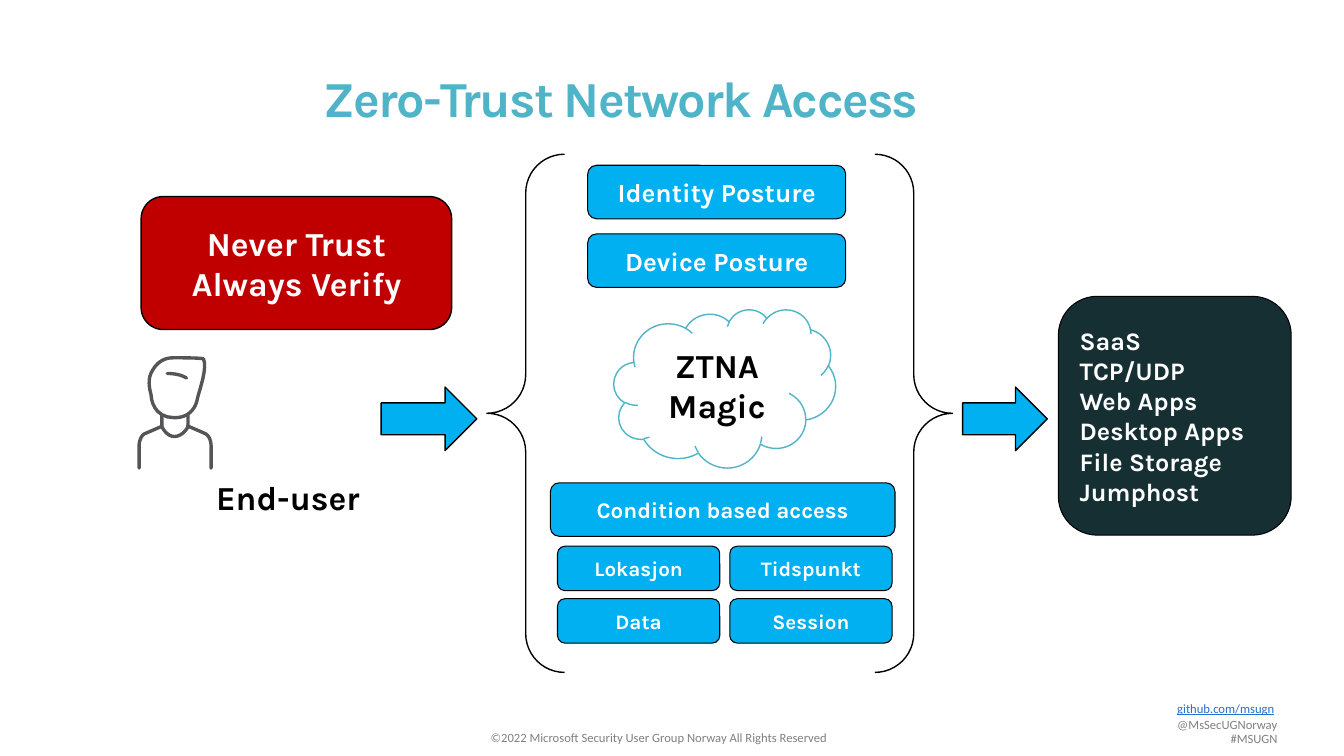
"""Build the Zero-Trust Network Access slide."""
import pptx
import pptx.dml.color
import pptx.enum.shapes
import pptx.enum.text
import pptx.util

Pt = pptx.util.Pt
MSO = pptx.enum.shapes.MSO_SHAPE
ALIGN = pptx.enum.text.PP_ALIGN
ANCHOR = pptx.enum.text.MSO_ANCHOR
RGB = pptx.dml.color.RGBColor.from_string


class Theme:
    font, footer_font = "Karla", "Calibri"
    teal, blue, red, dark = "50B4C8", "00B0F0", "C00000", "162F33"
    black, white, person, grey, link = "000000", "FFFFFF", "555557", "808080", "2370CD"
    title, heading, posture, body, access, cell, footer = 36, 24, 18.7, 18, 16, 14.7, 9


def write(tf, text, size, color, align=ALIGN.CENTER, font=Theme.font, bold=True):
    tf.text = text
    for p in tf.paragraphs:
        p.alignment = align
        p.font.name = font
        p.font.size = Pt(size)
        p.font.bold = bold
        p.font.color.rgb = RGB(color)


def add_box(kind, at, fill, text="", size=Theme.body, color=Theme.white,
            line=Theme.black, weight=0.75, align=ALIGN.CENTER):
    sp = s.shapes.add_shape(kind, *map(Pt, at))
    sp.shadow.inherit = False
    if fill:
        sp.fill.solid()
        sp.fill.fore_color.rgb = RGB(fill)
    else:
        sp.fill.background()
    sp.line.color.rgb = RGB(line)
    sp.line.width = Pt(weight)
    if text:
        sp.text_frame.word_wrap = True
        sp.text_frame.vertical_anchor = ANCHOR.MIDDLE
        write(sp.text_frame, text, size, color, align)


prs = pptx.Presentation()
prs.slide_width, prs.slide_height = Pt(960), Pt(540)
s = prs.slides.add_slide(prs.slide_layouts[5])

title = s.shapes.title
title.left, title.top, title.width, title.height = map(Pt, (231.1, 54.7, 846.7, 43.2))
tf = title.text_frame
tf.margin_left = tf.margin_right = tf.margin_top = tf.margin_bottom = 0
tf.vertical_anchor = ANCHOR.TOP
tf.auto_size = pptx.enum.text.MSO_AUTO_SIZE.NONE
write(tf, "Zero-Trust Network Access", Theme.title, Theme.teal, ALIGN.LEFT)
p = tf.paragraphs[0]
p.line_spacing = 0.85
p.runs[0]._r.get_or_add_rPr().set("spc", "-120")

footers = [
    ("©2022 Microsoft Security User Group Norway All Rights Reserved",
     343.4, 517.7, 258.5, Theme.grey),
    ("#MSUGN", 871.9, 518.4, 48.2, Theme.grey),
    ("@MsSecUGNorway", 833.8, 508.3, 86.4, Theme.grey),
    ("github.com/msugn", 833.8, 496.8, 83.5, Theme.link),
]
for text, x, y, w, color in footers:
    tf = s.shapes.add_textbox(Pt(x), Pt(y), Pt(w), Pt(18)).text_frame
    tf.word_wrap = False
    write(tf, text, Theme.footer, color, ALIGN.LEFT, Theme.footer_font, False)
    tf.paragraphs[0].font.underline = color == Theme.link

# Each stroke is a start point followed by cubic segments of three points.
head = [(124.6, 298.4), (109.4, 298.4), (108, 284.4), (108, 282.2),
        (108, 281.5), (104.8, 272.9), (108, 266.4),
        (111.6, 259.2), (116.6, 255.6), (123.8, 255.6),
        (131, 255.6), (141.8, 255.6), (145.4, 256.3),
        (148.3, 262.8), (142.6, 278.6), (141.5, 283),
        (141.1, 284.4), (140.4, 289.4), (137.9, 292.3),
        (135.4, 295.9), (131, 298.4), (124.6, 298.4)]
right_shoulder = [(133.9, 304.2), (133.9, 304.2), (143.3, 308.2), (147.2, 310),
                  (150.8, 312.5), (150.8, 318.2), (150.8, 318.2),
                  (150.8, 318.2), (150.8, 334.4), (150.8, 334.4)]
neck = [(134.3, 295.9), (134.3, 295.9), (134.3, 304.9), (134.3, 304.9),
        (134.3, 304.9), (130.7, 311.8), (124.6, 311.8),
        (118.8, 311.8), (115.6, 304.6), (115.6, 304.6)]
brow = [(119.5, 266.8), (119.5, 266.8), (127.4, 266.4), (133.2, 270)]
left_shoulder = [(115.6, 296.3), (115.6, 296.3), (115.6, 304.6), (115.6, 304.6),
                 (115.2, 304.6), (106.6, 308.5), (103, 310),
                 (99.4, 312.5), (99.4, 318.2), (99.4, 318.2),
                 (99.4, 318.2), (99.4, 334.4), (99.4, 334.4)]
person = s.shapes.add_group_shape()
for stroke in (head, right_shoulder, neck, brow, left_shoulder):
    points = []
    for i in range(0, len(stroke) - 1, 3):
        for t in (n / 8 for n in range(1, 9)):
            weights = ((1 - t) ** 3, 3 * t * (1 - t) ** 2, 3 * t * t * (1 - t), t ** 3)
            points.append(tuple(Pt(sum(k * c for k, c in zip(weights, axis)))
                                for axis in zip(*stroke[i:i + 4])))
    builder = person.shapes.build_freeform(*map(Pt, stroke[0]))
    builder.add_line_segments(points, close=stroke is head)
    sp = builder.convert_to_shape()
    sp.shadow.inherit = False
    sp.fill.background()
    sp.line.color.rgb = RGB(Theme.person)
    sp.line.width = Pt(2.4)
    sp.line._get_or_add_ln().set("cap", "rnd")

tf = s.shapes.add_textbox(Pt(103.7), Pt(337), Pt(203.8), Pt(36)).text_frame
tf.word_wrap = True
write(tf, "End-user", Theme.heading, Theme.black)

add_box(MSO.CLOUD, (438.5, 221, 158.4, 113), Theme.white, "ZTNA\vMagic",
        Theme.heading, Theme.black, Theme.teal, 1)
for x, w in ((272.2, 68.4), (687.6, 60.5)):
    add_box(MSO.RIGHT_ARROW, (x, 276.5, w, 45.4), Theme.blue, weight=1)

resources = ["SaaS", "TCP/UDP", "Web Apps", "Desktop Apps", "File Storage", "Jumphost"]
add_box(MSO.ROUNDED_RECTANGLE, (756, 211.7, 166.3, 170.6), Theme.dark,
        "\n".join(resources), align=ALIGN.LEFT)

for i, text in enumerate(("Identity Posture", "Device Posture")):
    add_box(MSO.ROUNDED_RECTANGLE, (419.8, 118.1 + 49 * i, 184.3, 38.2),
            Theme.blue, text, Theme.posture)
add_box(MSO.ROUNDED_RECTANGLE, (393.1, 344.9, 246.2, 38.2), Theme.blue,
        "Condition based access", Theme.access)
for i, text in enumerate(("Lokasjon", "Tidspunkt", "Data", "Session")):
    row, col = divmod(i, 2)
    add_box(MSO.ROUNDED_RECTANGLE, (398.2 + 123.1 * col, 390.2 + 37.5 * row, 115.9, 31.7),
            Theme.blue, text, Theme.cell)

add_box(MSO.DOUBLE_BRACE, (347.8, 110.2, 332.6, 370.1), None, weight=1)
add_box(MSO.ROUNDED_RECTANGLE, (100.8, 140.4, 221.8, 95), Theme.red,
        "Never Trust\vAlways Verify", Theme.heading, weight=1)

prs.save("out.pptx")
